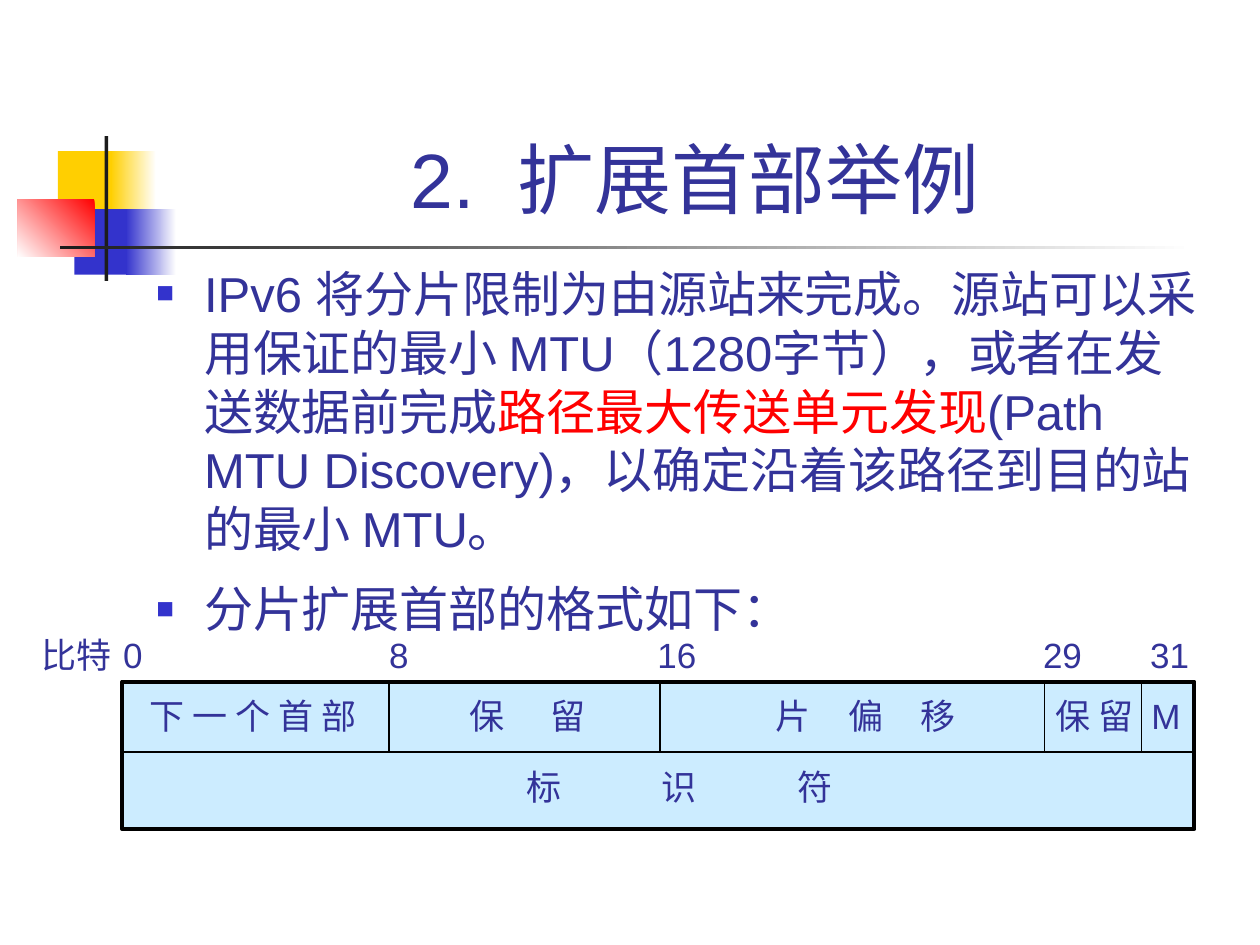
from dataclasses import dataclass

from lxml import etree
from pptx import Presentation
from pptx.dml.color import RGBColor
from pptx.enum.shapes import MSO_CONNECTOR, MSO_SHAPE
from pptx.enum.text import MSO_ANCHOR, MSO_AUTO_SIZE, PP_ALIGN
from pptx.oxml.ns import qn
from pptx.util import Inches, Pt

RECTANGLE = MSO_SHAPE.RECTANGLE
STRAIGHT = MSO_CONNECTOR.STRAIGHT
LEFT, CENTER = PP_ALIGN.LEFT, PP_ALIGN.CENTER
TOP, BOTTOM = MSO_ANCHOR.TOP, MSO_ANCHOR.BOTTOM
NO_AUTOSIZE = MSO_AUTO_SIZE.NONE


@dataclass(frozen=True)
class Theme:
    font: str = "Arial"
    text: str = "333399"
    highlight: str = "FF0000"
    blue: str = "3333CC"
    yellow: str = "FFCF01"
    red: str = "FF0000"
    dark: str = "1C1C1C"
    white: str = "FFFFFF"
    cell: str = "CCECFF"
    border: str = "000000"
    title_size: int = 44
    body_size: int = 28
    label_size: int = 20


THEME = Theme()


def color(value):
    return RGBColor.from_string(value)


def inches(box):
    return [Inches(value) for value in box]


def style(paragraph, size, alignment=LEFT):
    paragraph.alignment = alignment
    paragraph.space_before = Pt(0)
    paragraph.font.name = THEME.font
    paragraph.font.size = Pt(size)
    paragraph.font.color.rgb = color(THEME.text)


def add_run(paragraph, text, spacing=0):
    """Add a run with extra space, in points, after each character."""
    run = paragraph.add_run()
    run.text = text
    if spacing:
        run.font._element.set("spc", str(round(spacing * 100)))
    return run


def add_rectangle(slide, box, fill, fade_to=None, angle=0):
    shape = slide.shapes.add_shape(RECTANGLE, *inches(box))
    shape.shadow.inherit = False
    shape.line.fill.background()
    if fade_to:
        shape.fill.gradient()
        shape.fill.gradient_angle = angle
        for stop, value in zip(shape.fill.gradient_stops, (fill, fade_to)):
            stop.color.rgb = color(value)
    else:
        shape.fill.solid()
        shape.fill.fore_color.rgb = color(fill)
    return shape


def add_line(slide, start, end):
    line = slide.shapes.add_connector(STRAIGHT, *inches(start + end))
    line.line.color.rgb = color(THEME.border)
    line.line.width = Pt(1)
    etree.SubElement(line._element.spPr, qn("a:effectLst"))


def add_label(slide, left, top, width, text, spacing=0):
    frame = slide.shapes.add_textbox(*inches((left, top, width, 0.43))).text_frame
    frame.word_wrap = True
    style(frame.paragraphs[0], THEME.label_size)
    add_run(frame.paragraphs[0], text, spacing)


def add_ornament(slide, left, top):
    """Draw the coloured squares and the crossing bars of the title."""
    plain = [((0.32, 0.12, 0.48, 0.52), THEME.yellow)]
    blocks = [
        *plain,
        ((0.74, 0.12, 0.36, 0.52), THEME.white, THEME.yellow, 180),
        ((0.45, 0.58, 0.46, 0.52), THEME.blue),
        ((0.86, 0.58, 0.4, 0.52), THEME.white, THEME.blue, 180),
        ((0, 0.5, 0.61, 0.46), THEME.red, THEME.white, 225),
        ((0.69, 0, 0.03, 1.15), THEME.dark),
        ((0.34, 0.87, 9, 0.03), THEME.white, THEME.dark, 180),
    ]
    for (x, y, width, height), *fill in blocks:
        add_rectangle(slide, (left + x, top + y, width, height), *fill)


def place(placeholder, box, anchor):
    """Put a placeholder in its box, in front of the shapes drawn so far."""
    placeholder.left, placeholder.top, placeholder.width, placeholder.height = inches(box)
    frame = placeholder.text_frame
    frame.word_wrap = True
    frame.auto_size = NO_AUTOSIZE
    frame.vertical_anchor = anchor
    tree = placeholder._element.getparent()
    tree.append(placeholder._element)
    return frame


def fill_title(slide, box):
    paragraph = place(slide.shapes.title, box, BOTTOM).paragraphs[0]
    style(paragraph, THEME.title_size, CENTER)
    add_run(paragraph, "2.")
    add_run(paragraph, " ", spacing=12)
    add_run(paragraph, "扩展首部举例")


def add_bullet(paragraph):
    properties = paragraph._p.get_or_add_pPr()
    properties.set("marL", str(Inches(0.38)))
    properties.set("indent", str(-Inches(0.38)))
    bullet_color = etree.SubElement(properties, qn("a:buClr"))
    etree.SubElement(bullet_color, qn("a:srgbClr"), val=THEME.blue)
    etree.SubElement(properties, qn("a:buSzPct"), val="60000")
    etree.SubElement(properties, qn("a:buFont"), typeface=THEME.font)
    etree.SubElement(properties, qn("a:buChar"), char="■")


def fill_body(slide, box):
    frame = place(slide.placeholders[1], box, TOP)
    first, second = frame.paragraphs[0], frame.add_paragraph()
    for paragraph in (first, second):
        add_bullet(paragraph)
        style(paragraph, THEME.body_size)
    second.space_before = Pt(12)
    add_run(first, "IPv6 将分片限制为由源站来完成。源站可以采用保证的最小 MTU"
                   "（1280字节），或者在发送数据前完成")
    add_run(first, "路径最大传送单元发现").font.color.rgb = color(THEME.highlight)
    add_run(first, "(Path MTU Discovery)，以确定沿着该路径到目的站的最小 MTU。")
    add_run(second, "分片扩展首部的格式如下：")


def add_header_format(slide, left, top, width, height):
    """Draw the two rows of the fragment header with bit numbers above."""
    frame = add_rectangle(slide, (left, top, width, height), THEME.cell)
    frame.line.color.rgb = color(THEME.border)
    frame.line.width = Pt(2.25)

    middle = top + 0.56
    add_line(slide, (left, middle), (left + width, middle))
    for offset in (2.12, 4.27, 7.32, 8.09):
        add_line(slide, (left + offset, top), (left + offset, middle))

    bits = [(-0.74, "比特"), (-0.09, "0"), (2.02, "8"), (4.15, "16"), (7.21, "29"), (8.06, "31")]
    for offset, text in bits:
        add_label(slide, left + offset, top - 0.43, 0.76, text)

    fields = [
        (0.12, 2, "下 一 个 首 部", 0),
        (2.66, 1.6, "保 留", 10.9),
        (5.09, 2.2, "片 偏 移", 8.4),
        (7.31, 0.9, "保 留", 0),
        (8.07, 0.43, "M", 0),
    ]
    for offset, field_width, text, spacing in fields:
        add_label(slide, left + offset, top + 0.05, field_width, text, spacing)
    add_label(slide, left + 3.11, middle + 0.06, 3.4, "标 识 符", 26.4)


def main():
    presentation = Presentation()
    presentation.slide_width, presentation.slide_height = Inches(10), Inches(7.5)
    slide = presentation.slides.add_slide(presentation.slide_layouts[1])
    add_ornament(slide, 0.14, 1.08)
    fill_title(slide, (1.26, 0.23, 8.52, 1.6))
    fill_body(slide, (1.14, 2.04, 8.5, 3.47))
    add_header_format(slide, 0.97, 5.41, 8.51, 1.17)
    presentation.save("out.pptx")


if __name__ == "__main__":
    main()
